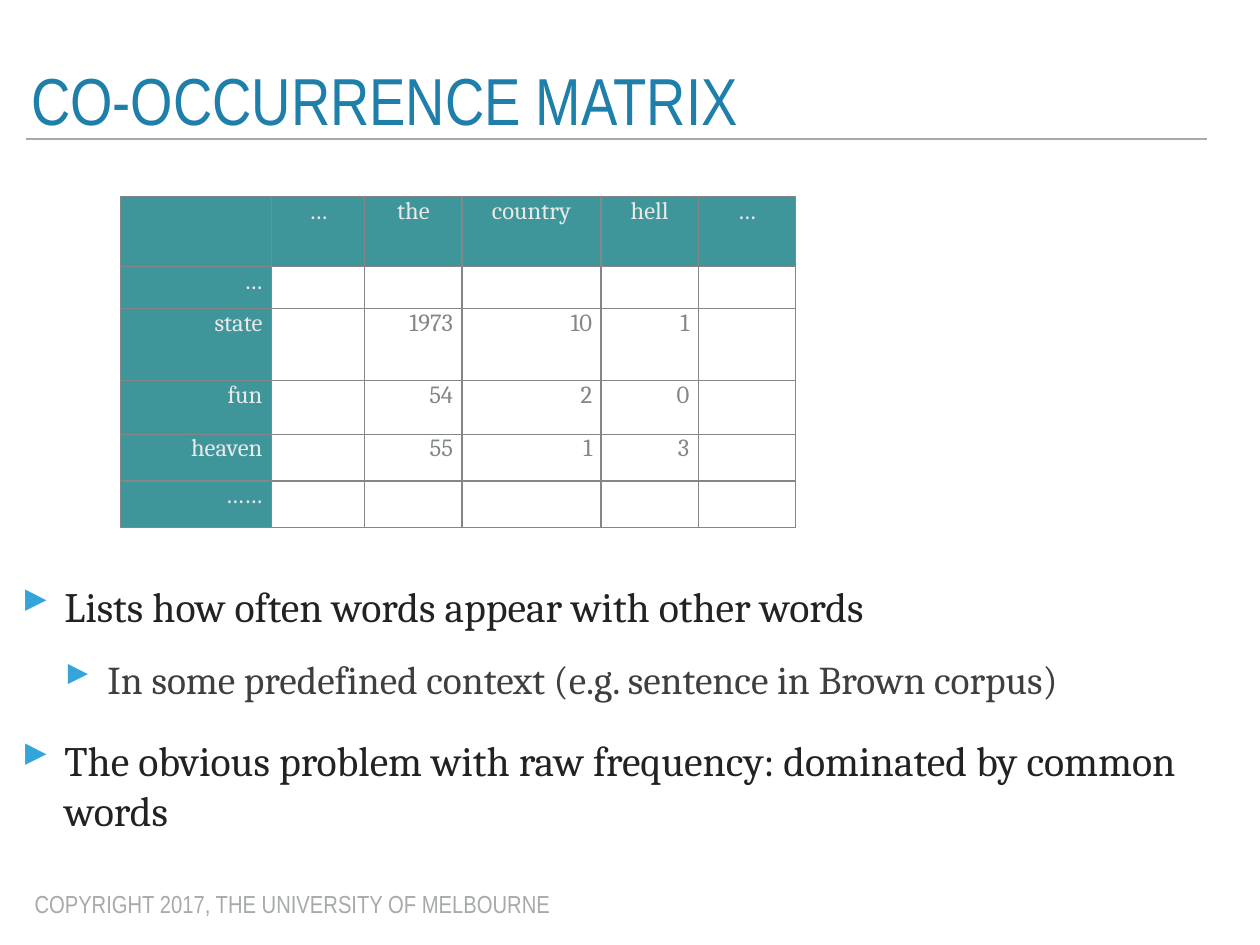
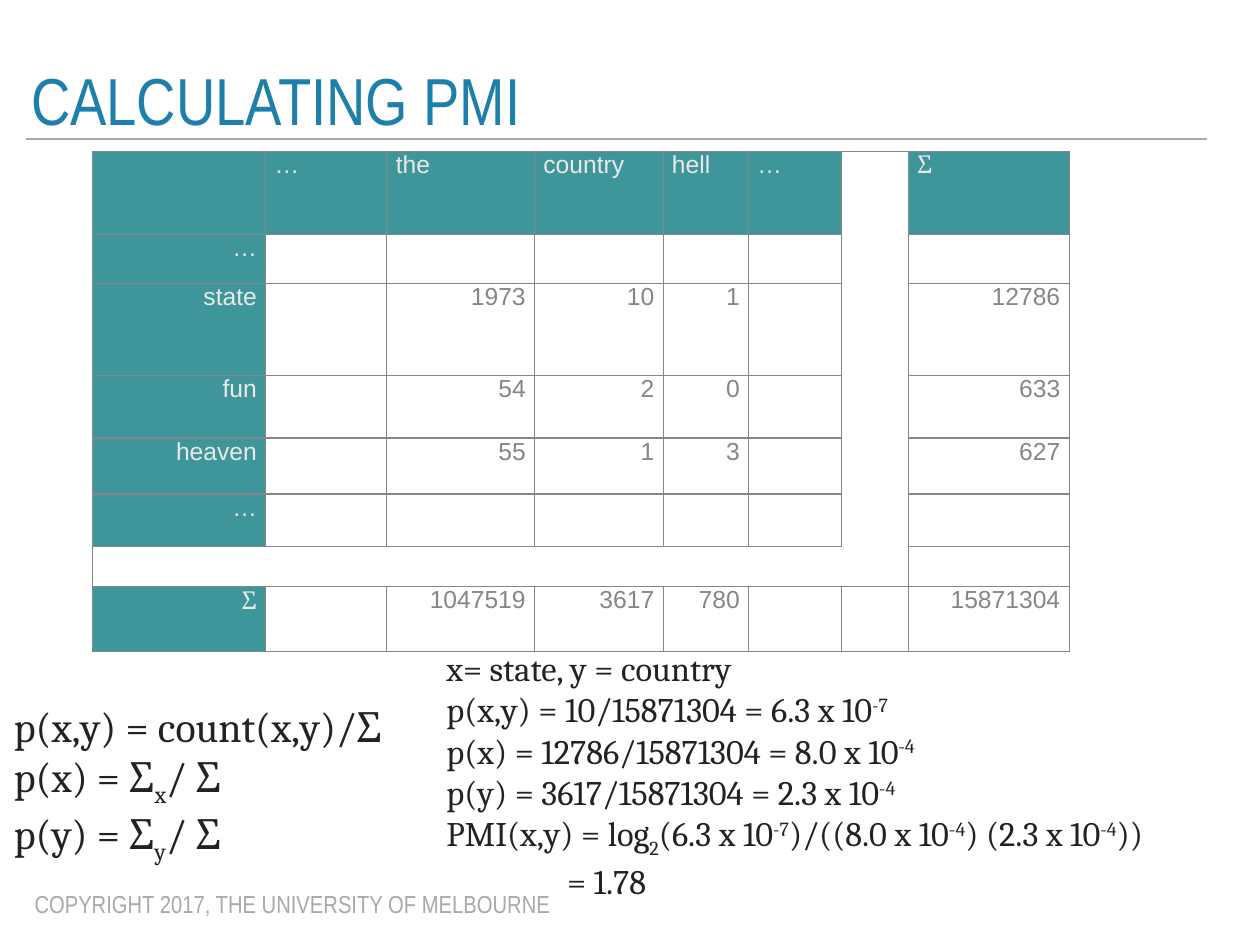
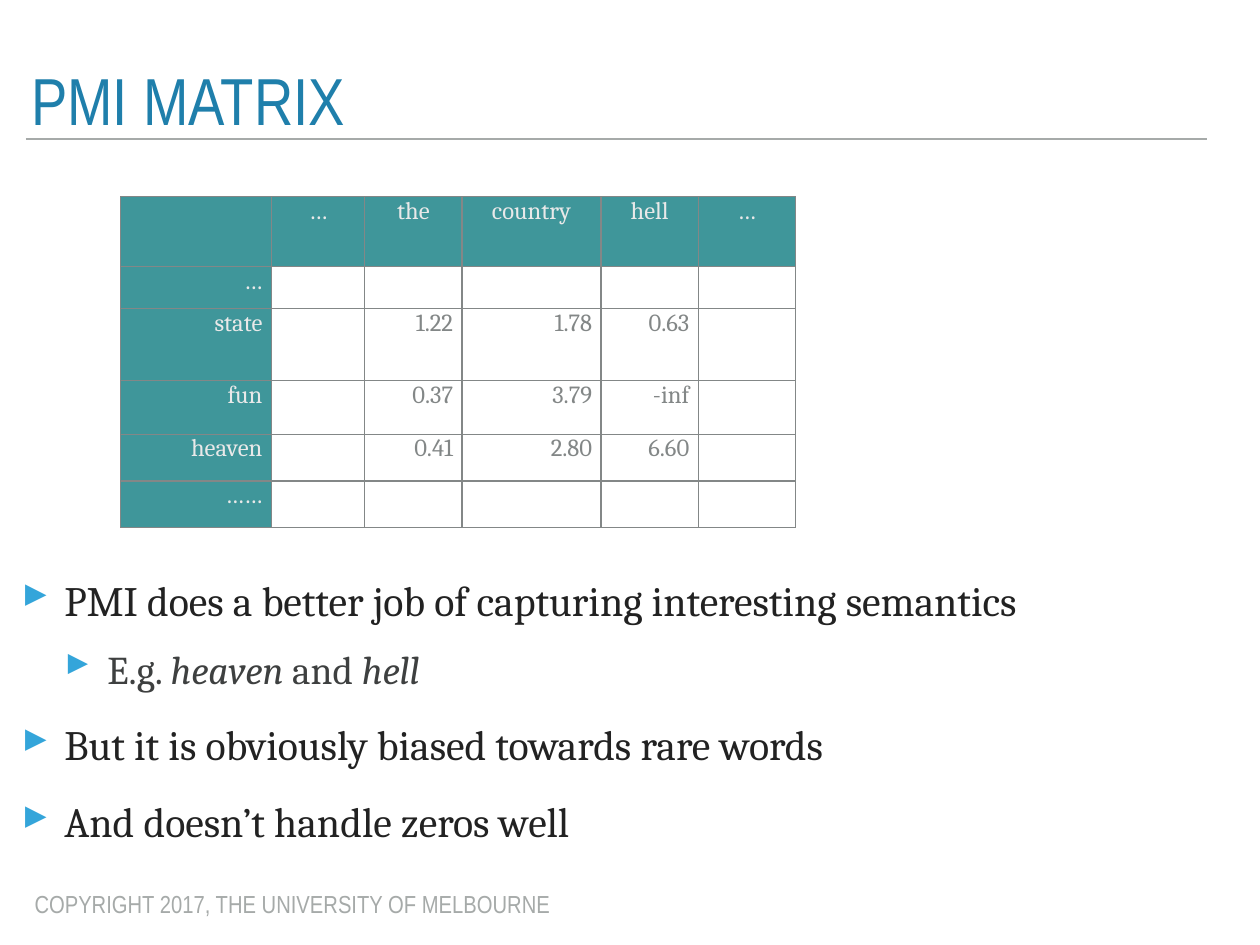
from lxml import etree
from pptx import Presentation
from pptx.dml.color import RGBColor
from pptx.enum.shapes import MSO_CONNECTOR
from pptx.enum.text import MSO_ANCHOR, MSO_AUTO_SIZE, PP_ALIGN
from pptx.oxml.ns import qn
from pptx.util import Pt

LEFT, CENTER, RIGHT = PP_ALIGN.LEFT, PP_ALIGN.CENTER, PP_ALIGN.RIGHT
TOP, MIDDLE = MSO_ANCHOR.TOP, MSO_ANCHOR.MIDDLE
NO_AUTOSIZE = MSO_AUTO_SIZE.NONE
STRAIGHT = MSO_CONNECTOR.STRAIGHT
TITLE_ONLY = 5

COLORS = {
    "title": "1F7FAB",
    "rule": "A6AAA9",
    "text": "222222",
    "subtext": "3E4040",
    "bullet": "34A5DA",
    "label_fill": "3F969A",
    "label": "E9E9E9",
    "value": "838787",
    "border": "838787",
}
HEADING, SERIF, SANS = "Arial Narrow", "Cambria", "Arial"

TITLE_FONT = {"size": Pt(54), "name": HEADING, "color": "title"}
FOOTER_FONT = {"size": Pt(20), "name": HEADING, "color": "rule"}
FORMULA_FONT = {"size": Pt(34), "name": SERIF, "color": "text"}
EXAMPLE_FONT = {"size": Pt(28), "name": SERIF, "color": "text"}
BULLET_LEVELS = [
    {"space_before": Pt(26), "font": FORMULA_FONT},
    {"space_before": Pt(20),
     "font": {"size": Pt(32), "name": SERIF, "color": "subtext"}},
]
BULLET_INDENT = 35
INSET = 4.3

SUB, SUPER, ITALIC = {"baseline": -25}, {"baseline": 30}, {"italic": True}

HEADER = ["", "…", "the", "country", "hell", "…"]
WORDS = ["state", "fun", "heaven"]
COUNTS = [["1973", "10", "1"], ["54", "2", "0"], ["55", "1", "3"]]
PMI = [["1.22", "1.78", "0.63"], ["0.37", "3.79", "-inf"], ["0.41", "2.80", "6.60"]]
WORD_TOTALS = ["12786", "633", "627"]
CONTEXT_TOTALS = ["1047519", "3617", "780"]
GRAND_TOTAL = "15871304"

MATRIX_COLUMNS = [122.5, 76, 79, 113, 79, 79]
MATRIX_ROWS = [57, 34, 58.5, 43.5, 38, 38]
TOTALS_COLUMNS = [140.5, 98.5, 120, 104.5, 69.5, 75.5, 54.5, 130.5]
TOTALS_ROWS = [67.5, 40, 74.5, 51, 45.5, 43, 32.5, 52.5]
SPACER = 6


def rgb(color):
    return RGBColor.from_string(COLORS[color])


def add_runs(paragraph, runs, font):
    """Each run is a string, or a string with the format values it changes."""
    for item in [runs] if isinstance(runs, str) else runs:
        text, changes = (item, {}) if isinstance(item, str) else item
        run = paragraph.add_run()
        run.text = text
        for attribute, value in {**font, **changes}.items():
            if attribute == "color":
                run.font.color.rgb = rgb(value)
            elif attribute == "baseline":
                run._r.get_or_add_rPr().set("baseline", str(value * 1000))
            else:
                setattr(run.font, attribute, value)


def format_frame(frame, anchor=TOP, inset=INSET, wrap=True):
    values = {"word_wrap": wrap, "auto_size": NO_AUTOSIZE, "vertical_anchor": anchor}
    for side in ("left", "top", "right", "bottom"):
        values["margin_" + side] = Pt(inset)
    for attribute, value in values.items():
        setattr(frame, attribute, value)


def add_lines(slide, box, lines, font, **frame_format):
    """Add a text box with one paragraph per line and return its paragraphs."""
    frame = slide.shapes.add_textbox(*map(Pt, box)).text_frame
    format_frame(frame, **frame_format)
    for index, runs in enumerate(lines):
        paragraph = frame.add_paragraph() if index else frame.paragraphs[0]
        add_runs(paragraph, runs, font)
    return frame.paragraphs


def add_bullet_mark(paragraph, level):
    properties = paragraph._p.get_or_add_pPr()
    properties.set("marL", str(Pt(BULLET_INDENT * (level + 1))))
    properties.set("indent", str(-Pt(BULLET_INDENT)))
    color = etree.SubElement(properties, qn("a:buClr"))
    etree.SubElement(color, qn("a:srgbClr"), val=COLORS["bullet"])
    etree.SubElement(properties, qn("a:buSzPct"), val="105000")
    etree.SubElement(properties, qn("a:buChar"), char="▸")


def add_bullets(slide, bullets, line_spacing=1.0):
    """Each bullet is a pair of level and runs."""
    frame = slide.shapes.add_textbox(Pt(13), Pt(467.3), Pt(965.5), Pt(234)).text_frame
    format_frame(frame)
    for index, (level, runs) in enumerate(bullets):
        style = BULLET_LEVELS[level]
        paragraph = frame.add_paragraph() if index else frame.paragraphs[0]
        paragraph.level = level
        paragraph.line_spacing = line_spacing
        if index:
            paragraph.space_before = style["space_before"]
        add_bullet_mark(paragraph, level)
        add_runs(paragraph, runs, style["font"])


def add_titled_slide(deck, title):
    slide = deck.slides.add_slide(deck.slide_layouts[TITLE_ONLY])
    heading = slide.shapes.title
    heading.left, heading.top, heading.width, heading.height = map(Pt, (21, 56, 960, 57))
    format_frame(heading.text_frame)
    paragraph = heading.text_frame.paragraphs[0]
    paragraph.alignment = LEFT
    paragraph.line_spacing = 0.8
    add_runs(paragraph, title, TITLE_FONT)

    rule = slide.shapes.add_connector(STRAIGHT, Pt(21), Pt(113), Pt(981), Pt(113))
    rule.line.color.rgb = rgb("rule")
    rule.line.width = Pt(2)
    etree.SubElement(rule._element.spPr, qn("a:effectLst"))

    add_lines(slide, (24.5, 718.5, 437, 29.5),
              ["COPYRIGHT 2017, THE UNIVERSITY OF MELBOURNE"],
              FOOTER_FONT, inset=3.6, wrap=False)
    return slide


def set_borders(cell, open_sides):
    properties = cell._tc.get_or_add_tcPr()
    for side in "LRTB":
        line = etree.SubElement(properties, qn("a:ln" + side), w=str(Pt(1)))
        if side in open_sides:
            etree.SubElement(line, qn("a:noFill"))
        else:
            fill = etree.SubElement(line, qn("a:solidFill"))
            etree.SubElement(fill, qn("a:srgbClr"), val=COLORS["border"])


def add_matrix(slide, corner, columns, rows, cells, name, header_align, spacers=()):
    """Adjoining spacer cells have no fill and no border between them."""
    table = slide.shapes.add_table(
        len(rows), len(columns), *map(Pt, (*corner, sum(columns), sum(rows)))).table
    table.first_row = table.horz_banding = False
    for column, width in zip(table.columns, columns):
        column.width = Pt(width)
    for r, height in enumerate(rows):
        table.rows[r].height = Pt(height)
        texts = cells[r] + [""] * (len(columns) - len(cells[r]))
        for c, text in enumerate(texts):
            cell = table.cell(r, c)
            neighbours = {"L": (r, c - 1), "R": (r, c + 1), "T": (r - 1, c), "B": (r + 1, c)}
            is_spacer = (r, c) in spacers
            set_borders(cell, [side for side, place in neighbours.items()
                               if is_spacer and place in spacers])
            is_label = 0 in (r, c) and not is_spacer
            if is_label:
                cell.fill.solid()
                cell.fill.fore_color.rgb = rgb("label_fill")
            else:
                cell.fill.background()
            if text:
                paragraph = cell.text_frame.paragraphs[0]
                paragraph.alignment = RIGHT if r else header_align
                paragraph.line_spacing = 0.8
                add_runs(paragraph, text, {
                    "size": Pt(20),
                    "name": SERIF if text == "Σ" else name,
                    "color": "label" if is_label else "value",
                })


def add_word_matrix(slide, values):
    word_rows = [[word, "", *row] for word, row in zip(WORDS, values)]
    add_matrix(slide, (98, 160), MATRIX_COLUMNS, MATRIX_ROWS,
               [HEADER, ["…"], *word_rows, ["……"]], SERIF, CENTER)


def add_totals_matrix(slide):
    word_rows = [[word, "", *row, "", "", total]
                 for word, row, total in zip(WORDS, COUNTS, WORD_TOTALS)]
    cells = [HEADER + ["", "Σ"], ["…"], *word_rows, ["…"], [],
             ["Σ", "", *CONTEXT_TOTALS, "", "", GRAND_TOTAL]]
    spacers = {place for i in range(SPACER + 1) for place in ((i, SPACER), (SPACER, i))}
    add_matrix(slide, (75.5, 123), TOTALS_COLUMNS, TOTALS_ROWS, cells, SANS, LEFT, spacers)


def add_pmi_formulas(slide):
    add_lines(slide, (7, 565, 939, 173), [
        "p(x,y) = count(x,y)/Σ",
        ["p(x) = Σ", ("x", SUB), "/ Σ"],
        ["p(y) = Σ", ("y", SUB), "/ Σ"],
    ], FORMULA_FONT)
    example = add_lines(slide, (358.5, 511, 660, 236), [
        "x= state, y = country",
        ["p(x,y) = 10/15871304 = 6.3 x 10", ("-7", SUPER)],
        ["p(x) = 12786/15871304 = 8.0 x 10", ("-4", SUPER)],
        ["p(y) = 3617/15871304 = 2.3 x 10", ("-4", SUPER)],
        ["PMI(x,y) = log", ("2", SUB), "(6.3 x 10", ("-7", SUPER), ")/((8.0 x 10",
         ("-4", SUPER), ") (2.3 x 10", ("-4", SUPER), "))"],
        "= 1.78",
    ], EXAMPLE_FONT, anchor=MIDDLE)
    example[-1]._p.get_or_add_pPr().set("marL", str(Pt(98)))


def main():
    deck = Presentation()
    deck.slide_width, deck.slide_height = Pt(1024), Pt(768)

    counts_slide = add_titled_slide(deck, "CO-OCCURRENCE MATRIX")
    add_word_matrix(counts_slide, COUNTS)
    add_bullets(counts_slide, [
        (0, "Lists how often words appear with other words"),
        (1, "In some predefined context (e.g. sentence in Brown corpus)"),
        (0, "The obvious problem with raw frequency: dominated by common words"),
    ])

    calculation_slide = add_titled_slide(deck, "CALCULATING PMI")
    add_totals_matrix(calculation_slide)
    add_pmi_formulas(calculation_slide)

    pmi_slide = add_titled_slide(deck, "PMI MATRIX")
    add_word_matrix(pmi_slide, PMI)
    add_bullets(pmi_slide, [
        (0, "PMI does a better job of capturing interesting semantics"),
        (1, ["E.g. ", ("heaven", ITALIC), " and ", ("hell", ITALIC)]),
        (0, "But it is obviously biased towards rare words"),
        (0, "And doesn’t handle zeros well"),
    ], line_spacing=0.9)

    deck.save("out.pptx")


if __name__ == "__main__":
    main()
